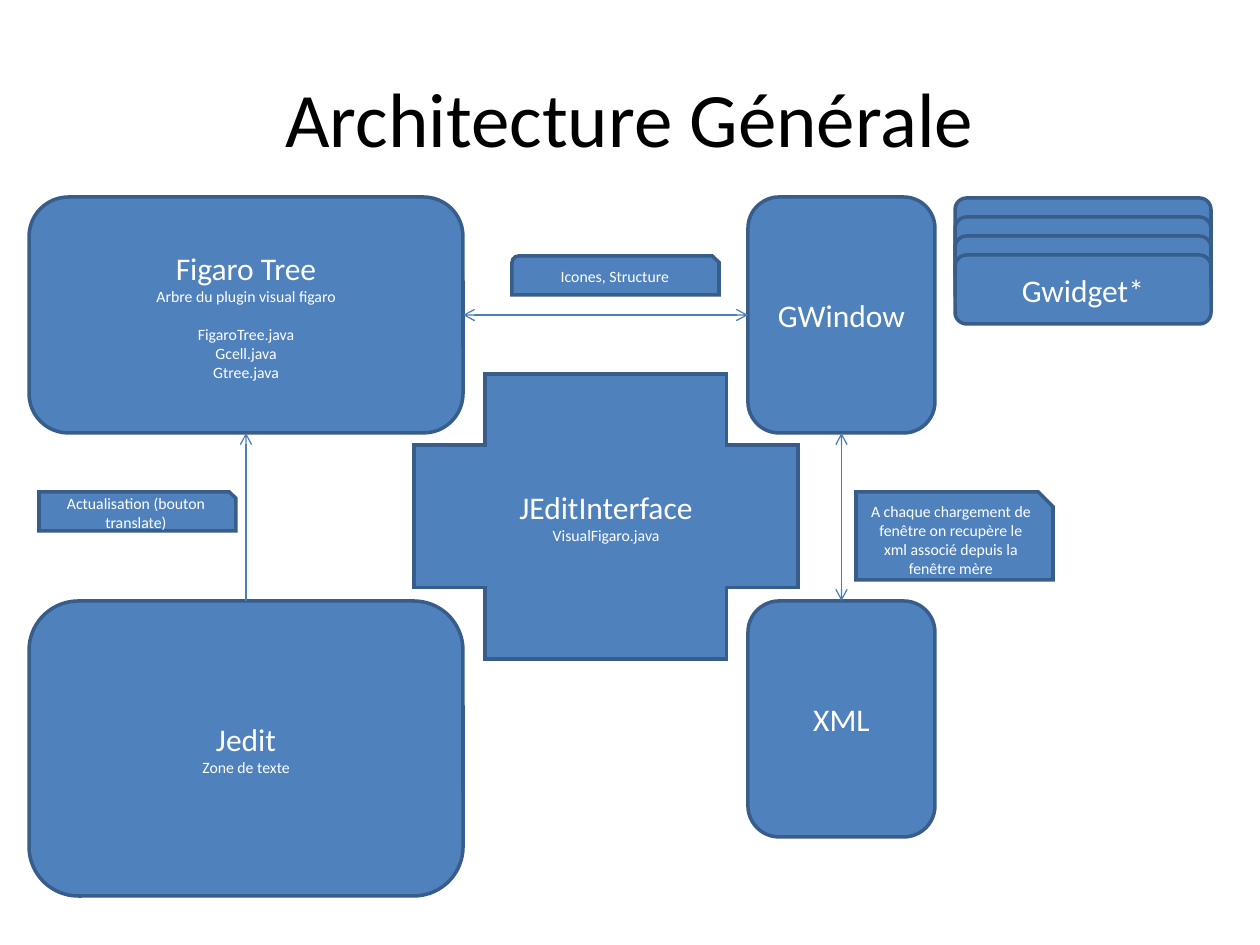
from dataclasses import dataclass

import pptx
import pptx.dml.color
import pptx.enum.shapes
import pptx.enum.text
import pptx.oxml.ns
import pptx.util
from lxml import etree
from pptx.shapes.autoshape import Shape
from pptx.slide import Slide

PX = 914400 / 126
FONT = "Calibri"
FILL = pptx.dml.color.RGBColor(0x4F, 0x81, 0xBD)
OUTLINE = pptx.dml.color.RGBColor(0x38, 0x5D, 0x8A)
ARROW = pptx.dml.color.RGBColor(0x4A, 0x7E, 0xBB)
WHITE = pptx.dml.color.RGBColor(0xFF, 0xFF, 0xFF)
BLACK = pptx.dml.color.RGBColor(0x00, 0x00, 0x00)
KIND = pptx.enum.shapes.MSO_SHAPE
TOP, LEFT, BOTTOM, RIGHT = range(4)
LARGE, SMALL = 18, 9


@dataclass(frozen=True)
class Line:
    text: str
    size: int
    before: int = 0


@dataclass(frozen=True)
class Block:
    key: str
    kind: int
    left: int
    top: int
    width: int
    height: int
    lines: tuple[Line, ...] = ()
    corner: float = 0.167


@dataclass(frozen=True)
class Link:
    start: str
    start_side: int
    end: str
    end_side: int
    two_way: bool = True


ROUND = KIND.ROUNDED_RECTANGLE
CARD_COUNT, CARD_TOP, CARD_STEP = 4, 198, 19

BLOCKS = (
    Block("jedit", ROUND, 29, 601, 434, 295,
          (Line("Jedit", LARGE), Line("Zone de texte", SMALL))),
    Block("tree", ROUND, 29, 197, 434, 236,
          (Line("Figaro Tree", LARGE),
           Line("Arbre du plugin visual figaro", SMALL),
           Line("FigaroTree.java", SMALL, before=11),
           Line("Gcell.java", SMALL),
           Line("Gtree.java", SMALL))),
    Block("interface", KIND.CROSS, 414, 374, 384, 285,
          (Line("JEditInterface", LARGE), Line("VisualFigaro.java", SMALL)), 0.25),
    Block("window", ROUND, 748, 197, 187, 236, (Line("GWindow", LARGE),)),
    *(Block(f"widget {i}", ROUND, 955, CARD_TOP + i * CARD_STEP, 256, 69,
            (Line("Gwidget*", LARGE),) if i == CARD_COUNT - 1 else ())
      for i in range(CARD_COUNT)),
    Block("xml", ROUND, 748, 601, 187, 236, (Line("XML", LARGE),)),
    Block("icons note", KIND.SNIP_ROUND_RECTANGLE, 512, 256, 207, 39,
          (Line("Icones, Structure", SMALL),)),
    Block("update note", KIND.SNIP_1_RECTANGLE, 39, 492, 197, 39,
          (Line("Actualisation (bouton translate)", SMALL),)),
    Block("loading note", KIND.SNIP_1_RECTANGLE, 856, 492, 197, 88,
          (Line("A chaque chargement de fenêtre on recupère le xml associé "
                "depuis la fenêtre mère", SMALL),)),
)

LINKS = (
    Link("window", BOTTOM, "xml", TOP),
    Link("tree", RIGHT, "window", LEFT),
    Link("jedit", TOP, "tree", BOTTOM, two_way=False),
)


def px(length: int) -> int:
    return round(length * PX)


def write_lines(box: Shape, lines: tuple[Line, ...],
                color: pptx.dml.color.RGBColor) -> None:
    frame = box.text_frame
    frame.word_wrap = True
    frame.vertical_anchor = pptx.enum.text.MSO_ANCHOR.MIDDLE
    frame.text = "\n".join(line.text for line in lines)
    for para, line in zip(frame.paragraphs, lines):
        para.alignment = pptx.enum.text.PP_ALIGN.CENTER
        if line.before:
            para.space_before = pptx.util.Pt(line.before)
        for span in para.runs:
            span.font.name = FONT
            span.font.size = pptx.util.Pt(line.size)
            span.font.color.rgb = color


def draw_block(page: Slide, block: Block) -> Shape:
    box = page.shapes.add_shape(block.kind, px(block.left), px(block.top),
                                px(block.width), px(block.height))
    box.shadow.inherit = False
    for i in range(len(box.adjustments)):
        box.adjustments[i] = block.corner
    box.fill.solid()
    box.fill.fore_color.rgb = FILL
    box.line.color.rgb = OUTLINE
    box.line.width = pptx.util.Pt(2)
    etree.SubElement(box.line._get_or_add_ln(), pptx.oxml.ns.qn("a:miter"),
                     lim="800000")
    if block.lines:
        write_lines(box, block.lines, WHITE)
    return box


def draw_link(page: Slide, link: Link, boxes: dict[str, Shape]) -> None:
    connector = page.shapes.add_connector(
        pptx.enum.shapes.MSO_CONNECTOR.STRAIGHT, 0, 0, 0, 0)
    connector.begin_connect(boxes[link.start], link.start_side)
    connector.end_connect(boxes[link.end], link.end_side)
    connector.line.color.rgb = ARROW
    connector.line.width = pptx.util.Pt(0.75)
    outline = connector.line._get_or_add_ln()
    for end in ("a:headEnd", "a:tailEnd") if link.two_way else ("a:tailEnd",):
        etree.SubElement(outline, pptx.oxml.ns.qn(end), type="arrow")
    etree.SubElement(connector._element.spPr, pptx.oxml.ns.qn("a:effectLst"))


def main() -> None:
    deck = pptx.Presentation()
    deck.slide_width = px(1260)
    deck.slide_height = px(945)
    page = deck.slides.add_slide(deck.slide_layouts[6])

    # Title
    title = page.shapes.add_textbox(px(63), px(38), px(1134), px(157))
    write_lines(title, (Line("Architecture Générale", 44),), BLACK)

    # Components and notes
    boxes = {block.key: draw_block(page, block) for block in BLOCKS}

    # Arrows between components
    for link in LINKS:
        draw_link(page, link, boxes)

    deck.save("out.pptx")


if __name__ == "__main__":
    main()
